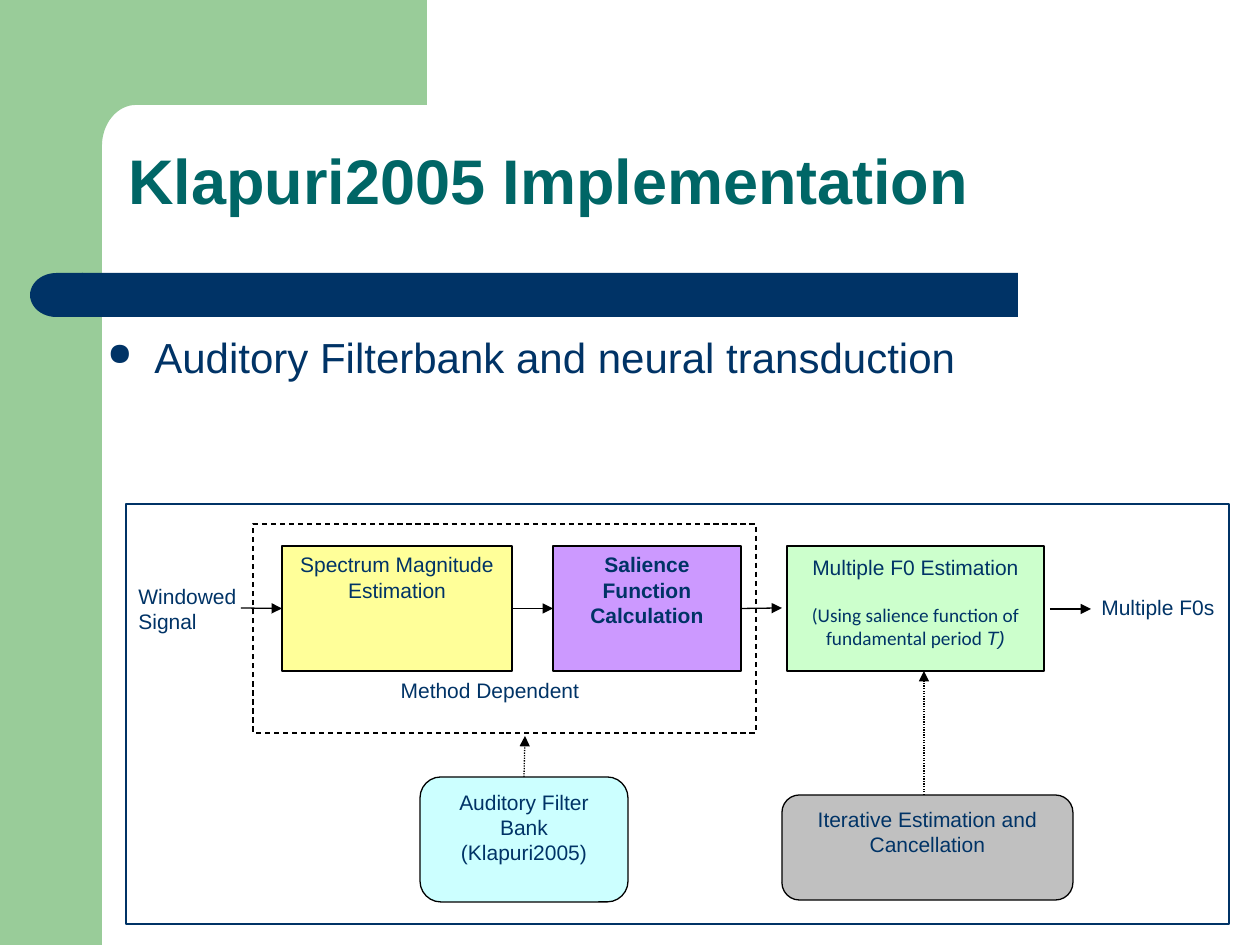
import math
from dataclasses import dataclass

import pptx
import pptx.dml.color
import pptx.enum.dml
import pptx.enum.shapes
import pptx.enum.text
import pptx.oxml.ns
import pptx.util
from lxml import etree

RGBColor = pptx.dml.color.RGBColor
MSO_SHAPE = pptx.enum.shapes.MSO_SHAPE
MSO_LINE = pptx.enum.dml.MSO_LINE
PP_ALIGN = pptx.enum.text.PP_ALIGN
MSO_ANCHOR = pptx.enum.text.MSO_ANCHOR

PX_PER_INCH = 126
NAVY = RGBColor(0x00, 0x33, 0x66)
TEAL = RGBColor(0x00, 0x66, 0x66)
LEAF = RGBColor(0x99, 0xCC, 0x99)
YELLOW = RGBColor(0xFF, 0xFF, 0x99)
VIOLET = RGBColor(0xCC, 0x99, 0xFF)
MINT = RGBColor(0xCC, 0xFF, 0xCC)
CYAN = RGBColor(0xCC, 0xFF, 0xFF)
GRAY = RGBColor(0xC0, 0xC0, 0xC0)
WHITE = RGBColor(0xFF, 0xFF, 0xFF)
BLACK = RGBColor(0x00, 0x00, 0x00)

TOP, LEFT, RIGHT = 0, 1, 3


@dataclass(frozen=True)
class Run:
    text: str
    size: int = 12
    font: str = "Arial"
    bold: bool = False
    italic: bool = False
    color: RGBColor = NAVY


@dataclass(frozen=True)
class Paragraph:
    runs: tuple[Run, ...]
    space_before: int = 0


@dataclass(frozen=True)
class Box:
    left: int
    top: int
    width: int
    height: int


@dataclass(frozen=True)
class Block:
    name: str
    box: Box
    fill: RGBColor
    paragraphs: tuple[Paragraph, ...]
    kind: MSO_SHAPE = MSO_SHAPE.RECTANGLE
    top_inset: int = 6


@dataclass(frozen=True)
class Label:
    box: Box
    paragraphs: tuple[Paragraph, ...]
    alignment: PP_ALIGN = PP_ALIGN.LEFT


@dataclass(frozen=True)
class Arrow:
    """A straight arrow; start and finish name a block and its side."""
    x1: int
    y1: int
    x2: int
    y2: int
    start: tuple[str, int] | None = None
    finish: tuple[str, int] | None = None
    dash: MSO_LINE | None = None


def line(text: str, **style) -> Paragraph:
    return Paragraph((Run(text, **style),))


BLOCKS = (
    Block("spectrum", Box(282, 546, 230, 125), YELLOW,
          (line("Spectrum Magnitude Estimation"),)),
    Block("salience", Box(553, 546, 188, 125), VIOLET,
          (line("Salience Function Calculation", bold=True),)),
    Block("estimation", Box(787, 546, 257, 125), MINT, (
        line("Multiple F0 Estimation"),
        Paragraph((Run("(Using salience function of", 11, "Calibri"),), 13),
        Paragraph((Run("fundamental period ", 11, "Calibri"),
                   Run("T)", 11, italic=True))),
    ), top_inset=9),
    Block("filter bank", Box(420, 777, 208, 125), CYAN,
          (line("Auditory Filter Bank (Klapuri2005)"),),
          MSO_SHAPE.ROUNDED_RECTANGLE),
    Block("cancellation", Box(782, 795, 291, 105), GRAY,
          (line("Iterative Estimation and Cancellation"),),
          MSO_SHAPE.ROUNDED_RECTANGLE),
)
LABELS = (
    Label(Box(126, 577, 146, 63), (line("Windowed"), line("Signal"))),
    Label(Box(1061, 588, 166, 83), (line("Multiple F0s"),), PP_ALIGN.RIGHT),
    Label(Box(261, 671, 458, 62), (line("Method Dependent"),), PP_ALIGN.CENTER),
)
ARROWS = (
    Arrow(241, 608, 282, 608, finish=("spectrum", LEFT)),
    Arrow(512, 608, 553, 608, ("spectrum", RIGHT), ("salience", LEFT)),
    Arrow(741, 608, 782, 608, ("salience", RIGHT)),
    Arrow(1050, 609, 1091, 609),
    Arrow(524, 777, 525, 736, ("filter bank", TOP), dash=MSO_LINE.ROUND_DOT),
    Arrow(924, 795, 924, 671, dash=MSO_LINE.ROUND_DOT),
)


def px(length: int) -> pptx.util.Emu:
    return pptx.util.Emu(round(length * 914400 / PX_PER_INCH))


def place(box: Box) -> tuple[pptx.util.Emu, ...]:
    return px(box.left), px(box.top), px(box.width), px(box.height)


def paint(shape, fill: RGBColor | None, outline: RGBColor | None = None) -> None:
    shape.shadow.inherit = False
    if fill is None:
        shape.fill.background()
    else:
        shape.fill.solid()
        shape.fill.fore_color.rgb = fill
    if outline is None:
        shape.line.fill.background()
    else:
        shape.line.color.rgb = outline
        shape.line.width = pptx.util.Pt(0.75)


def add_panel(slide, kind: MSO_SHAPE, box: Box, fill: RGBColor | None,
              outline: RGBColor | None = None):
    shape = slide.shapes.add_shape(kind, *place(box))
    paint(shape, fill, outline)
    return shape


def write(shape, paragraphs: tuple[Paragraph, ...], alignment: PP_ALIGN,
          anchor: MSO_ANCHOR = MSO_ANCHOR.TOP) -> None:
    frame = shape.text_frame
    frame.word_wrap = True
    frame.vertical_anchor = anchor
    for index, content in enumerate(paragraphs):
        paragraph = frame.add_paragraph() if index else frame.paragraphs[0]
        paragraph.alignment = alignment
        if content.space_before:
            paragraph.space_before = pptx.util.Pt(content.space_before)
        for item in content.runs:
            run = paragraph.add_run()
            run.text = item.text
            run.font.size = pptx.util.Pt(item.size)
            run.font.name = item.font
            run.font.bold = item.bold
            run.font.italic = item.italic
            run.font.color.rgb = item.color


def add_label(slide, label: Label, anchor: MSO_ANCHOR = MSO_ANCHOR.TOP):
    shape = slide.shapes.add_textbox(*place(label.box))
    write(shape, label.paragraphs, label.alignment, anchor)
    return shape


def add_block(slide, block: Block):
    shape = add_panel(slide, block.kind, block.box, block.fill, BLACK)
    write(shape, block.paragraphs, PP_ALIGN.CENTER)
    shape.text_frame.margin_top = px(block.top_inset)
    return shape


def add_arrow(slide, arrow: Arrow, blocks: dict) -> None:
    connector = slide.shapes.add_connector(
        pptx.enum.shapes.MSO_CONNECTOR.STRAIGHT,
        px(arrow.x1), px(arrow.y1), px(arrow.x2), px(arrow.y2))
    if arrow.start:
        connector.begin_connect(blocks[arrow.start[0]], arrow.start[1])
    if arrow.finish:
        connector.end_connect(blocks[arrow.finish[0]], arrow.finish[1])
    connector.line.color.rgb = BLACK
    connector.line.width = pptx.util.Pt(0.75)
    if arrow.dash:
        connector.line.dash_style = arrow.dash
    qn = pptx.oxml.ns.qn
    etree.SubElement(connector.line._get_or_add_ln(), qn("a:tailEnd"), type="triangle")
    etree.SubElement(connector._element.spPr, qn("a:effectLst"))


def add_corner(slide) -> None:
    """Top band whose inner corner is a quarter ellipse."""
    center_x, center_y, radius_x, radius_y, steps = 136, 146, 34, 41, 16
    angles = [math.pi / 2 * step / steps for step in range(steps + 1)]
    curve = [(center_x - radius_x * math.sin(angle), center_y - radius_y * math.cos(angle))
             for angle in angles]
    points = [(427, 105), *curve, (102, 161), (60, 161), (60, 0)]
    builder = slide.shapes.build_freeform(px(427), 0)
    builder.add_line_segments([(px(x), px(y)) for x, y in points])
    paint(builder.convert_to_shape(), LEAF)


def add_bullet(paragraph) -> None:
    qn = pptx.oxml.ns.qn
    properties = paragraph._p.get_or_add_pPr()
    properties.set("marL", str(px(47)))
    properties.set("indent", str(-px(47)))
    color = etree.SubElement(properties, qn("a:buClr"))
    etree.SubElement(color, qn("a:srgbClr"), val=str(NAVY))
    etree.SubElement(properties, qn("a:buSzPct"), val="75000")
    etree.SubElement(properties, qn("a:buChar"), char="●")


def main() -> None:
    presentation = pptx.Presentation()
    presentation.slide_width, presentation.slide_height = px(1260), px(945)
    slide = presentation.slides.add_slide(presentation.slide_layouts[6])

    add_panel(slide, MSO_SHAPE.RECTANGLE, Box(0, 0, 102, 945), LEAF)
    add_corner(slide)
    add_panel(slide, MSO_SHAPE.RECTANGLE, Box(82, 273, 936, 44), NAVY)
    cap = add_panel(slide, MSO_SHAPE.FLOWCHART_DELAY, Box(30, 273, 53, 44), NAVY)
    cap.rotation = 180

    title = Label(Box(116, 105, 1092, 158),
                  (line("Klapuri2005 Implementation", size=36, bold=True, color=TEAL),))
    title_shape = add_label(slide, title, MSO_ANCHOR.MIDDLE)
    title_shape.text_frame.paragraphs[0].line_spacing = 0.9

    method = add_panel(slide, MSO_SHAPE.RECTANGLE, Box(253, 524, 503, 209), WHITE, BLACK)
    method.line.dash_style = MSO_LINE.DASH
    blocks = {block.name: add_block(slide, block) for block in BLOCKS}
    for arrow in ARROWS:
        add_arrow(slide, arrow, blocks)
    for label in LABELS:
        add_label(slide, label)
    add_panel(slide, MSO_SHAPE.RECTANGLE, Box(126, 504, 1103, 420), None, NAVY)

    topic = Label(Box(95, 325, 1165, 513),
                  (line("Auditory Filterbank and neural transduction", size=24),))
    add_bullet(add_label(slide, topic).text_frame.paragraphs[0])
    presentation.save("out.pptx")


if __name__ == "__main__":
    main()
